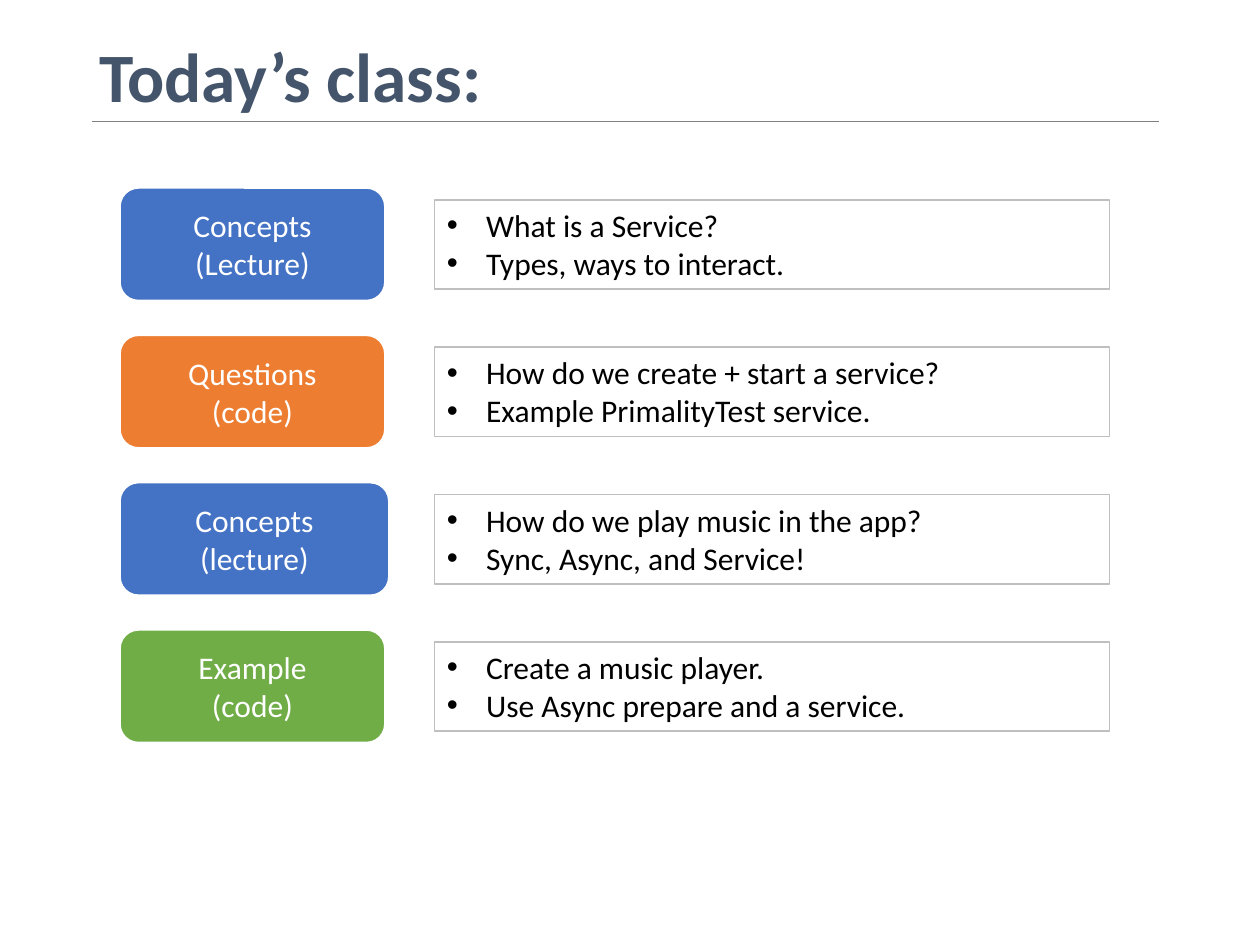
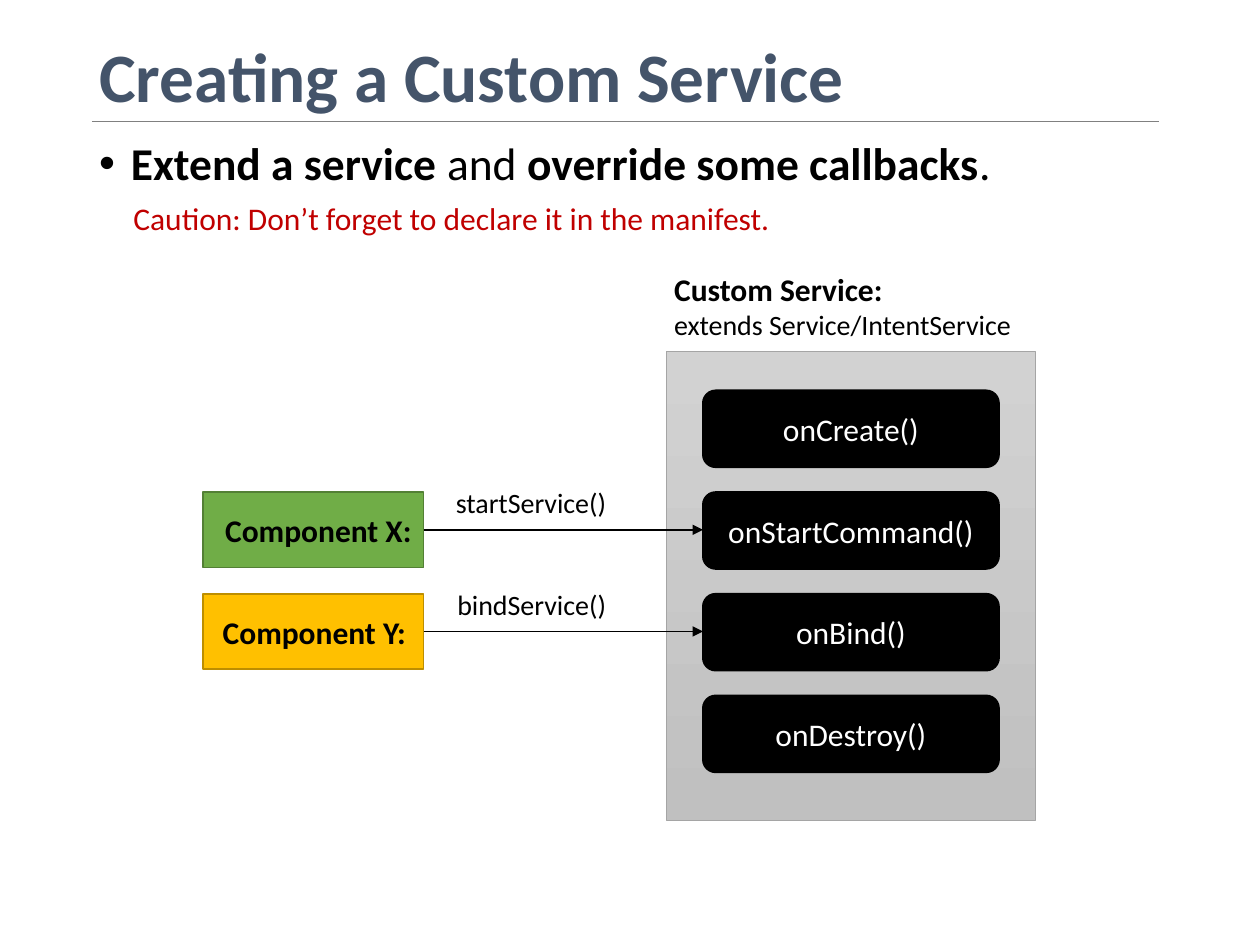
from lxml import etree
from pptx import Presentation, util as u
from pptx.dml.color import RGBColor
from pptx.enum import shapes, text
from pptx.oxml.ns import qn

FONT = "Calibri"
SLATE, GRAY, SILVER = "44546A", "808080", "BFBFBF"
BLUE, ORANGE, GREEN, AMBER = "4472C4", "ED7D31", "70AD47", "FFC000"
BLACK, WHITE, RED = "000000", "FFFFFF", "C00000"
RECTANGLE = shapes.MSO_SHAPE.RECTANGLE
ROUNDED = shapes.MSO_SHAPE.ROUNDED_RECTANGLE

AGENDA_TITLE = "Today’s class:"
AGENDA = [
    (BLUE, 5.36, ["Concepts", "(Lecture)"],
     ["What is a Service?", "Types, ways to interact."]),
    (ORANGE, 5.36, ["Questions", "(code)"],
     ["How do we create + start a service?", "Example PrimalityTest service."]),
    (BLUE, 5.44, ["Concepts", "(lecture)"],
     ["How do we play music in the app?", "Sync, Async, and Service!"]),
    (GREEN, 5.36, ["Example", "(code)"],
     ["Create a music player.", "Use Async prepare and a service."]),
]

SERVICE_TITLE = "Creating a Custom Service"
SERVICE_POINT = [("Extend a service ", True), ("and ", False),
                 ("override some callbacks", True), (".", False)]
CAUTION = "Caution: Don’t forget to declare it in the manifest."
CALLBACKS = ["onCreate()", "onStartCommand()", "onBind()", "onDestroy()"]
COMPONENTS = [
    (1, GREEN, "538035", "Component X:", 4.29, "startService()", 8.94),
    (2, AMBER, "BD8E00", "Component Y:", 4.24, "bindService()", 8.97),
]


def rgb(color):
    return RGBColor.from_string(color)


def style(paragraph, size, color, bold=False):
    font = paragraph.font
    font.name, font.size, font.bold = FONT, u.Pt(size), bold
    font.color.rgb = rgb(color)


def write(shape, lines, size, color, bold=False, align=text.PP_ALIGN.LEFT,
          anchor=text.MSO_ANCHOR.TOP, wrap=True):
    frame = shape.text_frame
    frame.text = "\n".join(lines)
    frame.word_wrap, frame.vertical_anchor = wrap, anchor
    for paragraph in frame.paragraphs:
        paragraph.alignment = align
        style(paragraph, size, color, bold)
    return frame


def add_bullet(paragraph, indent):
    properties = paragraph._p.get_or_add_pPr()
    properties.set("marL", str(u.Cm(indent)))
    properties.set("indent", str(-u.Cm(indent)))
    etree.SubElement(properties, qn("a:buFont")).set("typeface", "Arial")
    etree.SubElement(properties, qn("a:buChar")).set("char", "•")


def add_box(slide, kind, left, top, width, height, fill, line, line_width):
    shape = slide.shapes.add_shape(kind, *map(u.Cm, (left, top, width, height)))
    shape.shadow.inherit = False
    if fill:
        shape.fill.solid()
        shape.fill.fore_color.rgb = rgb(fill)
    shape.line.color.rgb = rgb(line)
    shape.line.width = u.Pt(line_width)
    return shape


def add_tile(slide, left, top, width, height, fill, line, line_width, lines):
    tile = add_box(slide, ROUNDED, left, top, width, height, fill, line, line_width)
    write(tile, lines, 18, WHITE, align=text.PP_ALIGN.CENTER,
          anchor=text.MSO_ANCHOR.MIDDLE)


def add_text(slide, left, top, width, height, words, size, color=BLACK,
             bold=False, **options):
    box = slide.shapes.add_textbox(*map(u.Cm, (left, top, width, height)))
    return write(box, [words], size, color, bold, **options)


def add_label(slide, left, top, width, words, size, color=BLACK, bold=False):
    add_text(slide, left, top, width, 1.02 if size == 18 else 0.94,
             words, size, color, bold, wrap=False)


def add_line(slide, start, end, y, color, width, arrow=False):
    line = slide.shapes.add_connector(
        shapes.MSO_CONNECTOR.STRAIGHT, *map(u.Cm, (start, y, end, y)))
    line.line.color.rgb = rgb(color)
    line.line.width = u.Pt(width)
    if arrow:
        tail = etree.SubElement(line.line._get_or_add_ln(), qn("a:tailEnd"))
        tail.set("type", "triangle")
    etree.SubElement(line._element.spPr, qn("a:effectLst"))


def add_titled_slide(presentation, title):
    slide = presentation.slides.add_slide(presentation.slide_layouts[6])
    frame = add_text(slide, 1.75, 1.02, 21.89, 1.19, title, 39.6, SLATE, True,
                     anchor=text.MSO_ANCHOR.MIDDLE)
    frame.paragraphs[0].line_spacing = 0.9
    add_line(slide, 1.85, 23.37, 2.44, GRAY, 0.5)
    return slide


def build_agenda(presentation):
    slide = add_titled_slide(presentation, AGENDA_TITLE)
    for row, (color, width, heading, points) in enumerate(AGENDA):
        top = 3.78 + row * 2.97
        add_tile(slide, 2.41, top, width, 2.29, color, WHITE, 1.5, heading)
        card = add_box(slide, RECTANGLE, 8.76, top + 0.25, 13.61, 1.8,
                       WHITE, SILVER, 1)
        for paragraph in write(card, points, 18, BLACK).paragraphs:
            add_bullet(paragraph, 0.79)


def add_panel(slide):
    panel = add_box(slide, RECTANGLE, 13.44, 7.09, 7.44, 9.45, None, "A5A5A5", 0.5)
    panel.fill.gradient()
    panel.fill.gradient_angle = 270
    for stop, color in zip(panel.fill.gradient_stops, ("D2D2D2", "C0C0C0")):
        stop.color.rgb = rgb(color)


def build_service(presentation):
    slide = add_titled_slide(presentation, SERVICE_TITLE)
    point = add_text(slide, 1.75, 2.72, 21.62, 14.43, "", 26).paragraphs[0]
    point.line_spacing = 0.9
    add_bullet(point, 0.64)
    for words, bold in SERVICE_POINT:
        run = point.add_run()
        run.text, run.font.bold = words, bold
    add_label(slide, 2.44, 3.89, 13.51, CAUTION, 18, RED)

    add_panel(slide)
    add_label(slide, 13.34, 5.31, 4.75, "Custom Service:", 18, bold=True)
    add_label(slide, 13.34, 6.07, 7.54, "extends Service/IntentService", 16)
    tops = [7.87 + row * 2.05 for row in range(len(CALLBACKS))]
    for top, callback in zip(tops, CALLBACKS):
        add_tile(slide, 14.17, top, 5.97, 1.55, BLACK, BLACK, 1, [callback])

    for row, fill, line, name, name_left, call, call_left in COMPONENTS:
        top = tops[row]
        add_box(slide, RECTANGLE, 4.09, top, 4.45, 1.52, fill, line, 1)
        add_line(slide, 8.54, 14.17, top + 0.76, BLACK, 1, arrow=True)
        add_label(slide, name_left, top + 0.26, 4.27, name, 18, bold=True)
        add_label(slide, call_left, top - 0.26, 3.57, call, 16)


def main():
    presentation = Presentation()
    presentation.slide_width, presentation.slide_height = u.Cm(25.4), u.Cm(19.05)
    build_agenda(presentation)
    build_service(presentation)
    presentation.save("out.pptx")


if __name__ == "__main__":
    main()
